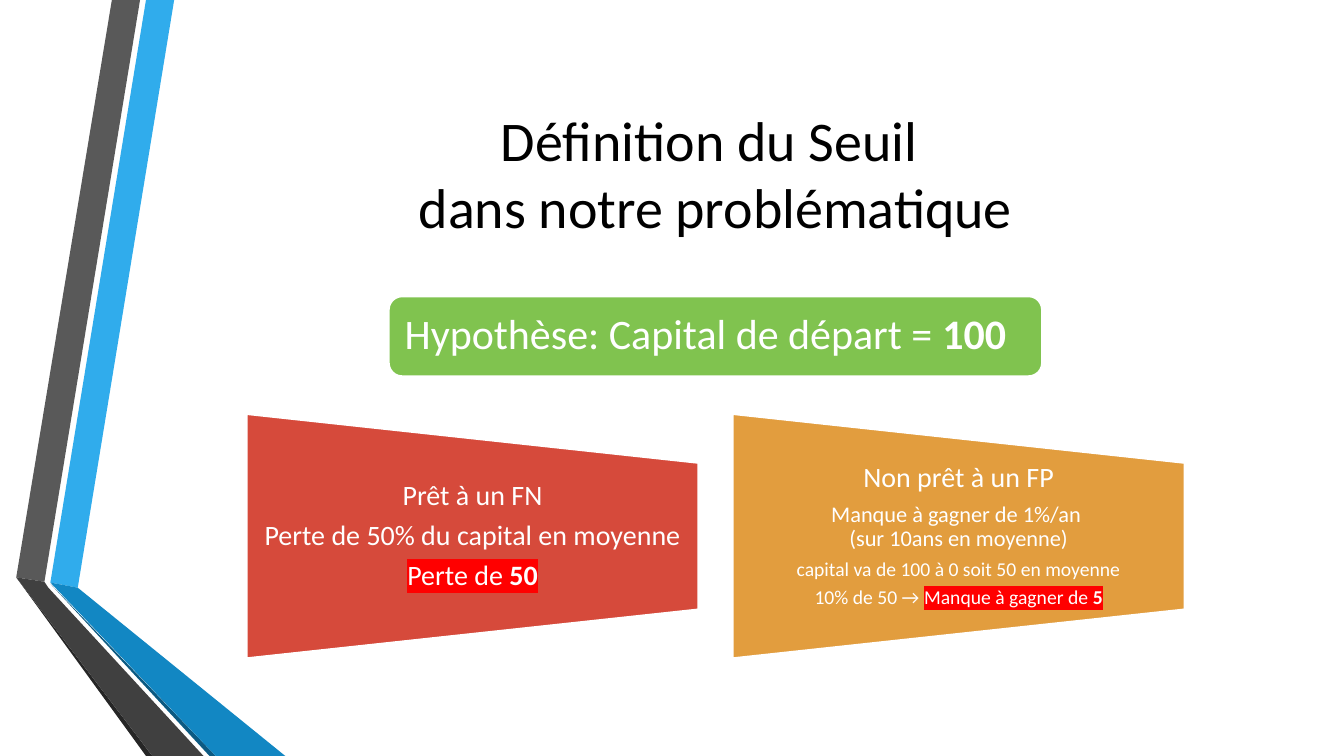
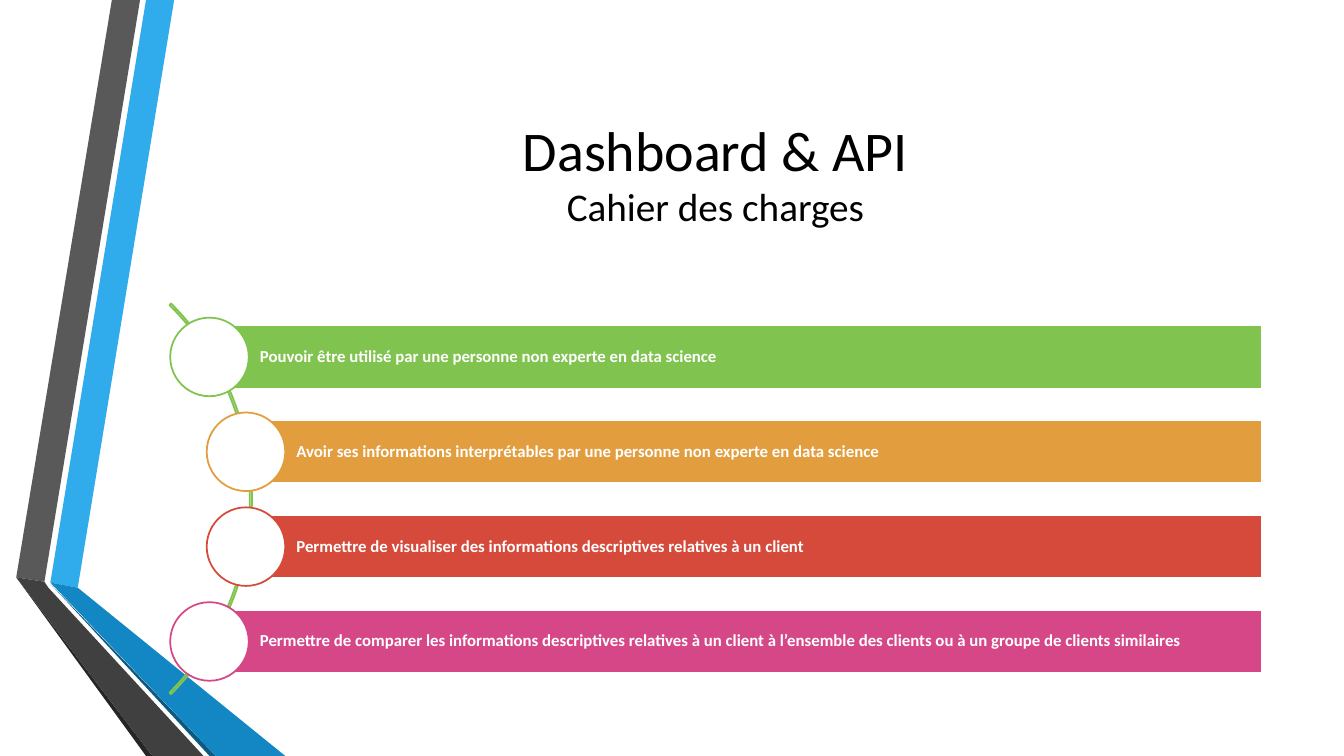
from dataclasses import dataclass

from lxml.etree import SubElement
from pptx import Presentation
from pptx.dml.color import RGBColor
from pptx.enum.shapes import MSO_SHAPE
from pptx.enum.text import MSO_ANCHOR, PP_ALIGN
from pptx.oxml.ns import qn
from pptx.util import Cm, Pt

ROUND, RECT, OVAL = MSO_SHAPE.ROUNDED_RECTANGLE, MSO_SHAPE.RECTANGLE, MSO_SHAPE.OVAL
TRAP, ARC = MSO_SHAPE.FLOWCHART_MANUAL_OPERATION, MSO_SHAPE.BLOCK_ARC
LEFT, CENTER, MIDDLE = PP_ALIGN.LEFT, PP_ALIGN.CENTER, MSO_ANCHOR.MIDDLE

FONT = "Calibri"
WHITE = RGBColor(0xFF, 0xFF, 0xFF)
BLACK = RGBColor(0, 0, 0)
GREEN = RGBColor(0x80, 0xC3, 0x4F)
AMBER = RGBColor(0xE2, 0x9D, 0x3E)
RED = RGBColor(0xD6, 0x4A, 0x3B)
PINK = RGBColor(0xD6, 0x47, 0x87)
SKY = RGBColor(0x30, 0xAC, 0xEC)
BLUE = RGBColor(0x12, 0x87, 0xC3)
NAVY = RGBColor(0x0C, 0x5A, 0x82)
GREY = RGBColor(0x59, 0x59, 0x59)
DARK = RGBColor(0x40, 0x40, 0x40)
COAL = RGBColor(0x26, 0x26, 0x26)
MARK = RGBColor(0xFF, 0, 0)


@dataclass
class Band:
    fill: RGBColor
    points: list[tuple[float, float]]


@dataclass
class Span:
    text: str
    bold: bool = False
    mark: bool = False


@dataclass
class Line:
    size: int
    spans: list[Span]


@dataclass
class Panel:
    mid: float
    fill: RGBColor
    lines: list[Line]


@dataclass
class Row:
    left: float
    fill: RGBColor
    text: str


# Ribbon of the template, in centimetres
BANDS = [
    Band(SKY, [(1.27, 14.68), (1.96, 14.81), (4.39, 0), (3.68, 0)]),
    Band(GREY, [(3.53, 0), (2.82, 0), (0.41, 14.55), (1.12, 14.66)]),
    Band(COAL, [(0.41, 14.55), (3.68, 19.05), (3.84, 19.05)]),
    Band(NAVY, [(1.27, 14.71), (5.28, 19.05), (5.44, 19.05)]),
    Band(BLUE, [(1.27, 14.68), (5.44, 19.05), (7.19, 19.05), (1.96, 14.81)]),
    Band(DARK, [(5.13, 19.05), (1.22, 14.81), (1.12, 14.66), (0.41, 14.55),
                (3.84, 19.05)]),
]

PANELS = [
    Panel(11.91, RED, [
        Line(20, [Span("Prêt à un FN")]),
        Line(20, [Span("Perte de 50% du capital en moyenne")]),
        Line(20, [Span("Perte de ", mark=True), Span("50", True, True)]),
    ]),
    Panel(24.16, AMBER, [
        Line(20, [Span("Non prêt à un FP")]),
        Line(16, [Span("Manque à gagner de 1%/an \v(sur 10ans en moyenne)")]),
        Line(14, [Span("capital va de 100 à 0 soit 50 en moyenne")]),
        Line(14, [Span("10% de 50 → "), Span("Manque à gagner de ", mark=True),
                  Span("5", True, True)]),
    ]),
]

ROWS = [
    Row(5.28, GREEN, "Pouvoir être utilisé par une personne non experte en data science"),
    Row(6.2, AMBER, "Avoir ses informations interprétables par une personne "
                    "non experte en data science"),
    Row(6.2, RED, "Permettre de visualiser des informations descriptives "
                  "relatives à un client"),
    Row(5.28, PINK, "Permettre de comparer les informations descriptives relatives à un "
                    "client à l’ensemble des clients ou à un groupe de clients similaires"),
]


def style(run, size: int, color: RGBColor, bold: bool = False) -> None:
    font = run.font
    font.name, font.size, font.bold = FONT, Pt(size), bold
    font.color.rgb = color


def size_breaks(para, size: int) -> None:
    for stop in para._p.findall(qn("a:br")):
        SubElement(stop, qn("a:rPr"), sz=str(size * 100))


def highlight(run) -> None:
    fill = run._r.get_or_add_rPr().find(qn("a:solidFill"))
    mark = SubElement(fill.getparent(), qn("a:highlight"))
    SubElement(mark, qn("a:srgbClr"), val=str(MARK))
    fill.addnext(mark)


def write(frame, lines: list[Line], align, side: float, edge: float = 0) -> None:
    """Fill a text frame; side is the left inset, edge the top and bottom ones."""
    frame.word_wrap = True
    frame.vertical_anchor = MIDDLE
    frame.margin_left = Cm(side)
    frame.margin_right = Cm(min(side, 0.36))
    frame.margin_top = frame.margin_bottom = Cm(edge)
    for i, line in enumerate(lines):
        para = frame.add_paragraph() if i else frame.paragraphs[0]
        para.alignment = align
        para.line_spacing = 0.9
        para.space_after = Pt(0.35 * line.size)
        for j, span in enumerate(line.spans):
            start = len(para.runs)
            if j:
                para.add_run().text = span.text
            else:
                para.text = span.text
            for run in para.runs[start:]:
                style(run, line.size, WHITE, span.bold)
                if span.mark:
                    highlight(run)
        size_breaks(para, line.size)


def add_form(slide, kind, left: float, top: float, width: float, height: float,
             fill: RGBColor | None, edge: RGBColor = WHITE):
    form = slide.shapes.add_shape(kind, Cm(left), Cm(top), Cm(width), Cm(height))
    form.shadow.inherit = False
    if fill is None:
        form.fill.background()
    else:
        form.fill.solid()
        form.fill.fore_color.rgb = fill
    form.line.color.rgb = edge
    form.line.width = Pt(1.25)
    return form


def add_bands(slide, layout) -> None:
    """Draw the ribbon, then hand it to the layout shared by all slides."""
    for band in BANDS:
        first, *rest = [(Cm(x), Cm(y)) for x, y in band.points]
        pen = slide.shapes.build_freeform(*first)
        pen.add_line_segments(rest, close=True)
        form = pen.convert_to_shape()
        form.shadow.inherit = False
        form.fill.solid()
        form.fill.fore_color.rgb = band.fill
        form.line.fill.background()
        layout.shapes.element.append(form.element)


def add_title(slide, text: str, sizes: tuple[int, int]) -> None:
    title = slide.shapes.title
    title.left, title.top = Cm(4.11), Cm(1.9)
    title.width, title.height = Cm(27.84), Cm(4.88)
    frame = title.text_frame
    frame.vertical_anchor = MIDDLE
    para = frame.paragraphs[0]
    para.text = text
    para.alignment = CENTER
    for run, size in zip(para.runs, sizes):
        style(run, size, BLACK)
    size_breaks(para, sizes[0])


def add_panel(slide, panel: Panel) -> None:
    mid, wide, tall, text = 13.51, 11.38, 6.15, 3.68
    form = add_form(slide, TRAP, panel.mid - tall / 2, mid - wide / 2, tall, wide, panel.fill)
    form.rotation = 270
    box = slide.shapes.add_textbox(Cm(panel.mid - wide / 2), Cm(mid - text / 2),
                                   Cm(wide), Cm(text))
    write(box.text_frame, panel.lines, CENTER, 0.36)


def add_row(slide, row: Row, top: float) -> None:
    right, tall, dot = 31.8, 1.59, 1.98
    bar = add_form(slide, RECT, row.left, top, right - row.left, tall, row.fill)
    write(bar.text_frame, [Line(12, [Span(row.text, True)])], LEFT, 1.27, 0.08)
    add_form(slide, OVAL, row.left - dot / 2, top + (tall - dot) / 2, dot, dot,
             WHITE, row.fill)


def main() -> None:
    deck = Presentation()
    deck.slide_width, deck.slide_height = Cm(33.87), Cm(19.05)
    layout = deck.slide_layouts.get_by_name("Title Only")

    # Threshold slide
    slide = deck.slides.add_slide(layout)
    add_bands(slide, layout)
    add_title(slide, "Définition du Seuil \vdans notre problématique", (40, 40))
    base = add_form(slide, ROUND, 9.8, 7.47, 16.46, 2.01, GREEN)
    write(base.text_frame, [Line(30, [Span("Hypothèse: Capital de départ = "),
                                      Span("100", True)])], LEFT, 0.3, 0.3)
    for panel in PANELS:
        add_panel(slide, panel)

    # Dashboard slide
    slide = deck.slides.add_slide(layout)
    add_title(slide, "Dashboard & API\vCahier des charges", (40, 28))
    arc = add_form(slide, ARC, -7.57, 5.61, 13.92, 13.92, None, GREEN)
    for i, value in enumerate((189, 27, 0.004)):
        arc.adjustments[i] = value
    for i, row in enumerate(ROWS):
        add_row(slide, row, 8.2 + 2.39 * i)

    deck.save("out.pptx")


if __name__ == "__main__":
    main()
